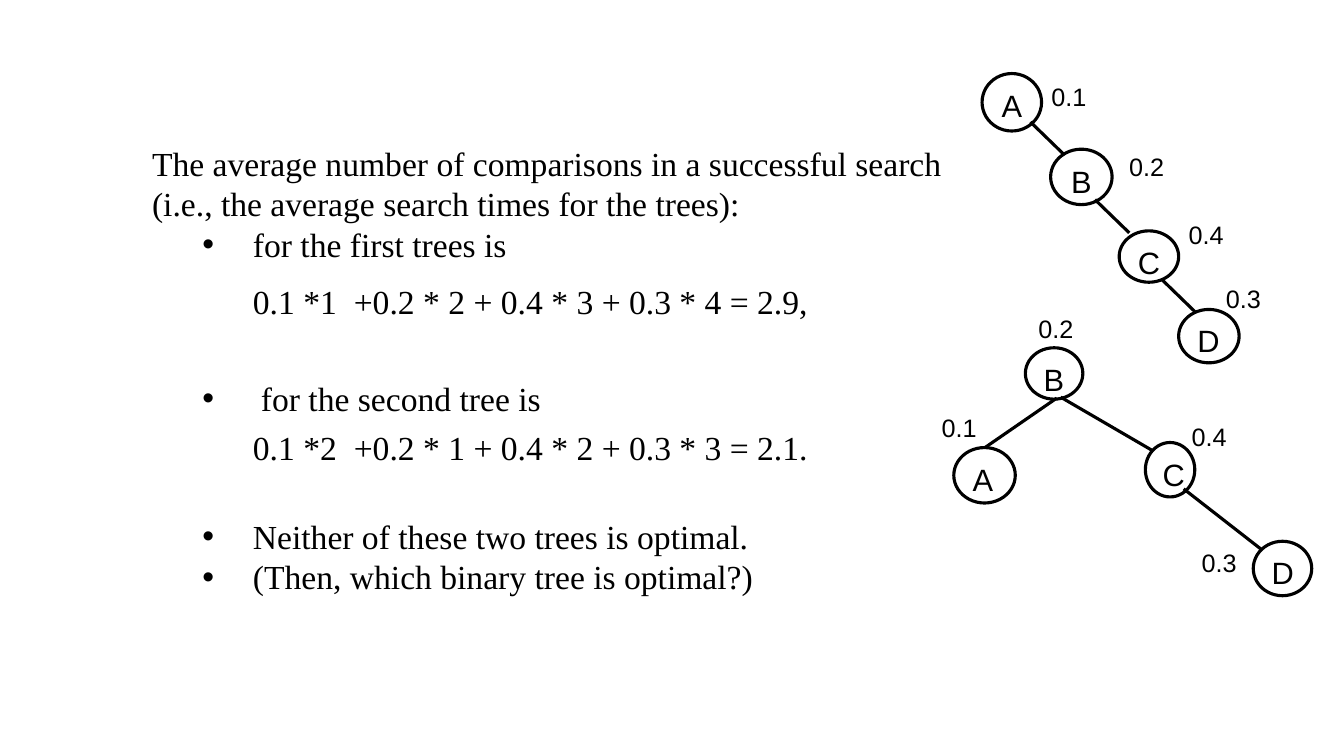
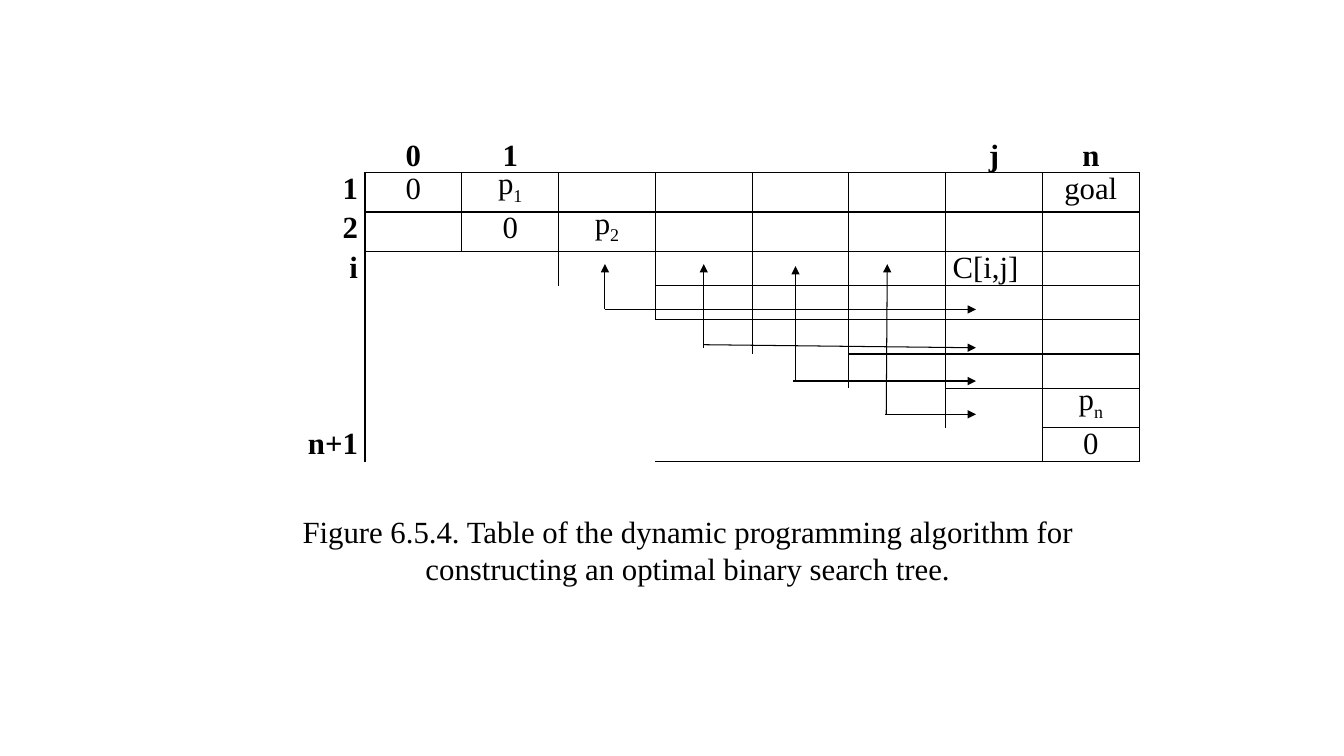
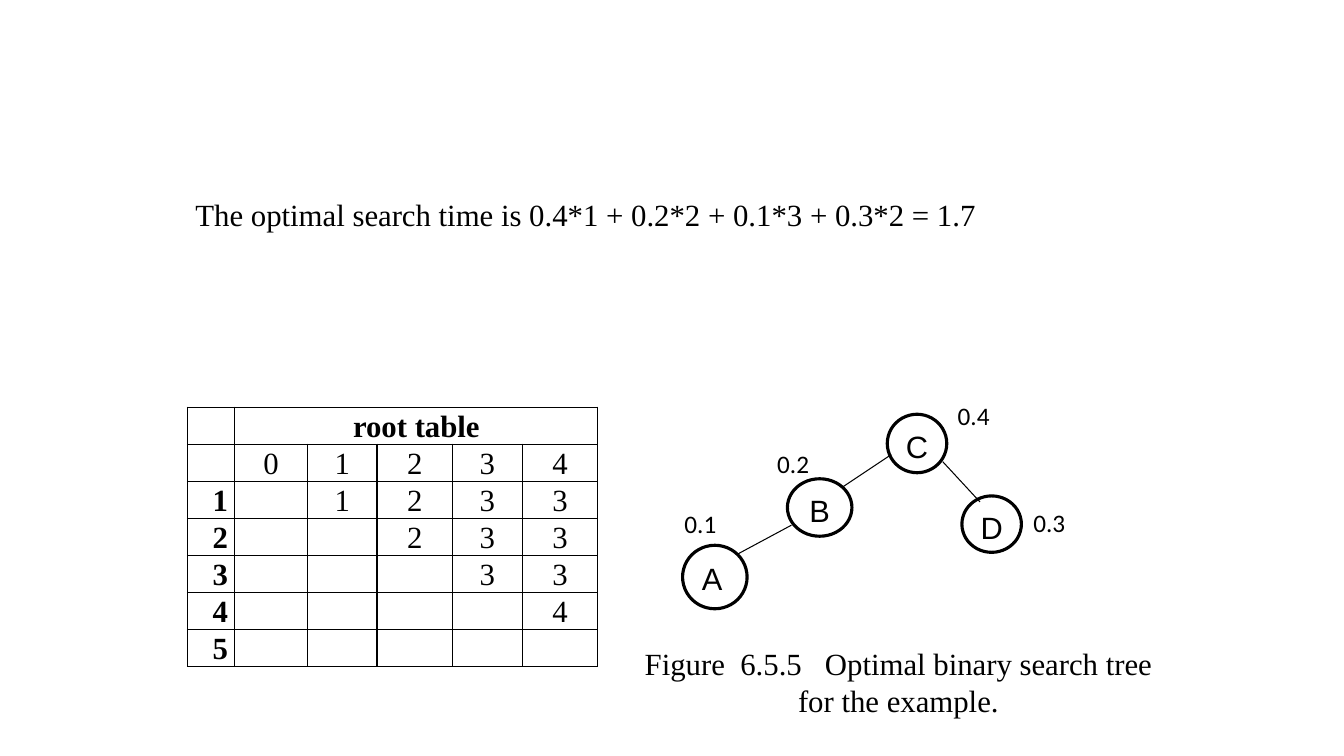
from lxml.etree import SubElement
from pptx import Presentation
from pptx.dml.color import RGBColor
from pptx.enum.shapes import MSO_CONNECTOR, MSO_SHAPE
from pptx.enum.text import MSO_ANCHOR, PP_ALIGN
from pptx.oxml.ns import qn
from pptx.util import Pt

PX = 9144
BLACK = "000000"
WHITE = "FFFFFF"
SERIF = "Times New Roman"
SANS = "Arial"
LEFT, CENTER, RIGHT = PP_ALIGN.LEFT, PP_ALIGN.CENTER, PP_ALIGN.RIGHT


def add_run(paragraph, text, size, font=SERIF, bold=False, color=BLACK):
    run = paragraph.add_run()
    run.text = text
    run.font.size = Pt(size)
    run.font.name = font
    run.font.bold = bold
    run.font.color.rgb = RGBColor.from_string(color)
    return run


def add_line(slide, ends, width, arrow=False):
    line = slide.shapes.add_connector(MSO_CONNECTOR.STRAIGHT, *[end * PX for end in ends])
    line.line.width = Pt(width)
    line.line.color.rgb = RGBColor.from_string(BLACK)
    properties = line._element.spPr
    if arrow:
        SubElement(properties.find(qn("a:ln")), qn("a:tailEnd"), type="triangle")
    SubElement(properties, qn("a:effectLst"))


presentation = Presentation()
presentation.slide_width = 1333 * PX
presentation.slide_height = 750 * PX
blank_layout = presentation.slide_layouts[6]
search_slide, table_slide, optimal_slide = [
    presentation.slides.add_slide(blank_layout) for number in range(3)
]

comparison_box = search_slide.shapes.add_textbox(141 * PX, 137 * PX, 819 * PX, 465 * PX)
comparison_box.text_frame.word_wrap = True
comparison_lines = [
    ("The average number of comparisons in a successful search", 0, 0, 0),
    ("(i.e., the average search times for the trees):", 0, 0, 0),
    ("for the first trees is", 100, 50, 12),
    ("0.1 *1  +0.2 * 2 + 0.4 * 3 + 0.3 * 4 = 2.9,", 100, 0, 40.8),
    ("for the second tree is", 108, 58, 6),
    ("0.1 *2  +0.2 * 1 + 0.4 * 2 + 0.3 * 3 = 2.1.", 100, 0, 34.8),
    ("Neither of these two trees is optimal.", 100, 50, 0),
    ("(Then, which binary tree is optimal?)", 100, 50, 0),
]
for index, (text, margin, hanging, space_after) in enumerate(comparison_lines):
    frame = comparison_box.text_frame
    paragraph = frame.add_paragraph() if index else frame.paragraphs[0]
    paragraph.line_spacing = Pt(28.8)
    paragraph.space_after = Pt(space_after)
    properties = paragraph._p.get_or_add_pPr()
    properties.set("marL", str(margin * PX))
    properties.set("indent", str(-hanging * PX))
    if hanging:
        SubElement(properties, qn("a:buFont"), typeface=SANS)
        SubElement(properties, qn("a:buChar"), char="•")
    add_run(paragraph, text, 24)

trees = [
    (
        search_slide, 2.25, SANS,
        [
            ("A", 974, 73, 59, 57, CENTER), ("B", 1042, 148, 61, 55, CENTER),
            ("C", 1110, 229, 59, 51, LEFT), ("D", 1169, 307, 60, 53, LEFT),
            ("B", 1017, 345, 57, 51, LEFT), ("A", 946, 444, 61, 55, LEFT),
            ("C", 1136, 439, 49, 54, LEFT), ("D", 1243, 537, 58, 54, LEFT),
        ],
        [
            (1022, 121, 1056, 154), (1086, 198, 1120, 231), (1152, 277, 1186, 310),
            (1048, 395, 977, 444), (1052, 394, 1143, 447), (1174, 485, 1251, 545),
        ],
        [
            ("0.1", 1033, 76), ("0.2", 1110, 145), ("0.4", 1169, 213), ("0.3", 1206, 276),
            ("0.2", 1020, 306), ("0.1", 924, 404), ("0.4", 1172, 413), ("0.3", 1182, 538),
        ],
    ),
    (
        optimal_slide, 0.75, "Calibri",
        [
            ("A", 677, 541, 64, 63, LEFT), ("C", 880, 411, 59, 58, LEFT),
            ("B", 781, 475, 64, 57, CENTER), ("D", 954, 492, 59, 56, CENTER),
        ],
        [(884, 451, 836, 483), (935, 458, 972, 498), (785, 521, 731, 550)],
        [("0.4", 940, 392), ("0.3", 1015, 498), ("0.2", 761, 440), ("0.1", 669, 499)],
    ),
]
for slide, edge_width, label_font, nodes, edges, labels in trees:
    for letter, left, top, width, height, alignment in nodes:
        node = slide.shapes.add_shape(
            MSO_SHAPE.OVAL, left * PX, top * PX, width * PX, height * PX
        )
        node.shadow.inherit = False
        node.fill.solid()
        node.fill.fore_color.rgb = RGBColor.from_string(WHITE)
        node.line.color.rgb = RGBColor.from_string(BLACK)
        node.line.width = Pt(2.25)
        node.text_frame.vertical_anchor = MSO_ANCHOR.TOP
        paragraph = node.text_frame.paragraphs[0]
        paragraph.alignment = alignment
        add_run(paragraph, letter, 22, SANS)
    for ends in edges:
        add_line(slide, ends, edge_width)
    for text, left, top in labels:
        label = slide.shapes.add_textbox(left * PX, top * PX, 59 * PX, 40 * PX)
        label.text_frame.word_wrap = True
        add_run(label.text_frame.paragraphs[0], text, 18, label_font)

tables = [
    {
        "slide": table_slide, "left": 252, "top": 138, "line_spacing": 24,
        "columns": [110] + [96] * 8,
        "rows": [height * PX for height in [33, 39, 39, 34, 34, 34, 34, 39, 34]],
        "merges": [(3, 1, 3, 2), (4, 1, 8, 3), (6, 4, 6, 5), (7, 4, 7, 6), (8, 4, 8, 7)],
        "first_lined_row": 1,
        "line_starts": [9, 1, 1, 1, 4, 4, 6, 7, 8, 1],
        "line_ends": [0, 8, 2, 3, 4, 5, 6, 7, 8, 8],
        "texts": {
            (0, 1): "0", (0, 2): "1", (0, 7): "j", (0, 8): "n",
            (1, 0): "1", (1, 1): "0", (1, 2): "p_1", (1, 8): "goal",
            (2, 0): "2", (2, 2): "0", (2, 3): "p_2",
            (3, 0): "i", (3, 7): "C[i,j]", (7, 8): "p_n",
            (8, 0): "n+1", (8, 8): "0",
        },
    },
    {
        "slide": optimal_slide, "left": 186, "top": 404, "line_spacing": 26.4,
        "columns": [47, 72, 69, 75, 69, 75],
        "rows": [257 * PX // 7] * 7,
        "merges": [(0, 1, 0, 5)],
        "first_lined_row": 0,
        "line_starts": [0] * 8,
        "line_ends": [6] * 7,
        "texts": {
            (0, 1): "root table",
            **{(1, column + 1): str(column) for column in range(5)},
            **{(row + 1, 0): str(row) for row in range(1, 6)},
            (2, 2): "1", (2, 3): "2", (2, 4): "3", (2, 5): "3",
            (3, 3): "2", (3, 4): "3", (3, 5): "3",
            (4, 4): "3", (4, 5): "3", (5, 5): "4",
        },
    },
]
for layout in tables:
    columns, rows = layout["columns"], layout["rows"]
    table = layout["slide"].shapes.add_table(
        len(rows), len(columns), layout["left"] * PX, layout["top"] * PX,
        sum(columns) * PX, sum(rows)
    ).table
    table.first_row = False
    table.horz_banding = False
    for index, width in enumerate(columns):
        table.columns[index].width = width * PX
    for index, height in enumerate(rows):
        table.rows[index].height = height
    starts, ends = layout["line_starts"], layout["line_ends"]
    for row in range(len(rows)):
        for column in range(len(columns)):
            cell = table.cell(row, column)
            cell.margin_left = cell.margin_right = 7 * PX
            cell.margin_top = cell.margin_bottom = 0
            borders = {
                "a:lnL": layout["first_lined_row"] <= row <= ends[column],
                "a:lnR": layout["first_lined_row"] <= row <= ends[column + 1],
                "a:lnT": column >= starts[row],
                "a:lnB": column >= starts[row + 1],
            }
            for tag, visible in borders.items():
                border = SubElement(cell._tc.get_or_add_tcPr(), qn(tag), w=str(Pt(1)))
                if visible:
                    fill = SubElement(border, qn("a:solidFill"))
                    SubElement(fill, qn("a:srgbClr"), val=BLACK)
                else:
                    SubElement(border, qn("a:noFill"))
            cell.fill.solid()
            cell.fill.fore_color.rgb = RGBColor.from_string(WHITE)
            text = layout["texts"].get((row, column))
            if text:
                paragraph = cell.text_frame.paragraphs[0]
                paragraph.line_spacing = Pt(layout["line_spacing"])
                paragraph.alignment = RIGHT if column == 0 else CENTER
                if text == "C[i,j]":
                    paragraph.alignment = LEFT
                base, separator, subscript = text.partition("_")
                add_run(paragraph, base, 22, bold=row == 0 or column == 0)
                if subscript:
                    run = add_run(paragraph, subscript, 22)
                    run.font._element.set("baseline", "-25000")
    for first_row, first_column, last_row, last_column in layout["merges"]:
        table.cell(first_row, first_column).merge(table.cell(last_row, last_column))

arrows = [
    (789, 378, 789, 264), (698, 345, 698, 262), (879, 411, 880, 262), (600, 307, 600, 262),
    (600, 307, 968, 307), (698, 342, 968, 345), (787, 378, 968, 378), (878, 411, 968, 411),
]
for ends in arrows:
    add_line(table_slide, ends, 0.75, arrow=True)

captions = [
    (
        table_slide, 236, 504, 892, 84, CENTER,
        "Figure 6.5.4. Table of the dynamic programming algorithm for "
        "constructing an optimal binary search tree.",
    ),
    (
        optimal_slide, 619, 635, 544, 84, CENTER,
        "Figure  6.5.5   Optimal binary search tree for the example.",
    ),
    (
        optimal_slide, 184, 189, 949, 47, LEFT,
        "The optimal search time is 0.4*1 + 0.2*2 + 0.1*3 + 0.3*2 = 1.7",
    ),
]
for slide, left, top, width, height, alignment, text in captions:
    caption = slide.shapes.add_textbox(left * PX, top * PX, width * PX, height * PX)
    caption.text_frame.word_wrap = True
    paragraph = caption.text_frame.paragraphs[0]
    paragraph.alignment = alignment
    paragraph.line_spacing = Pt(26.4)
    add_run(paragraph, text, 22)

presentation.save("out.pptx")
